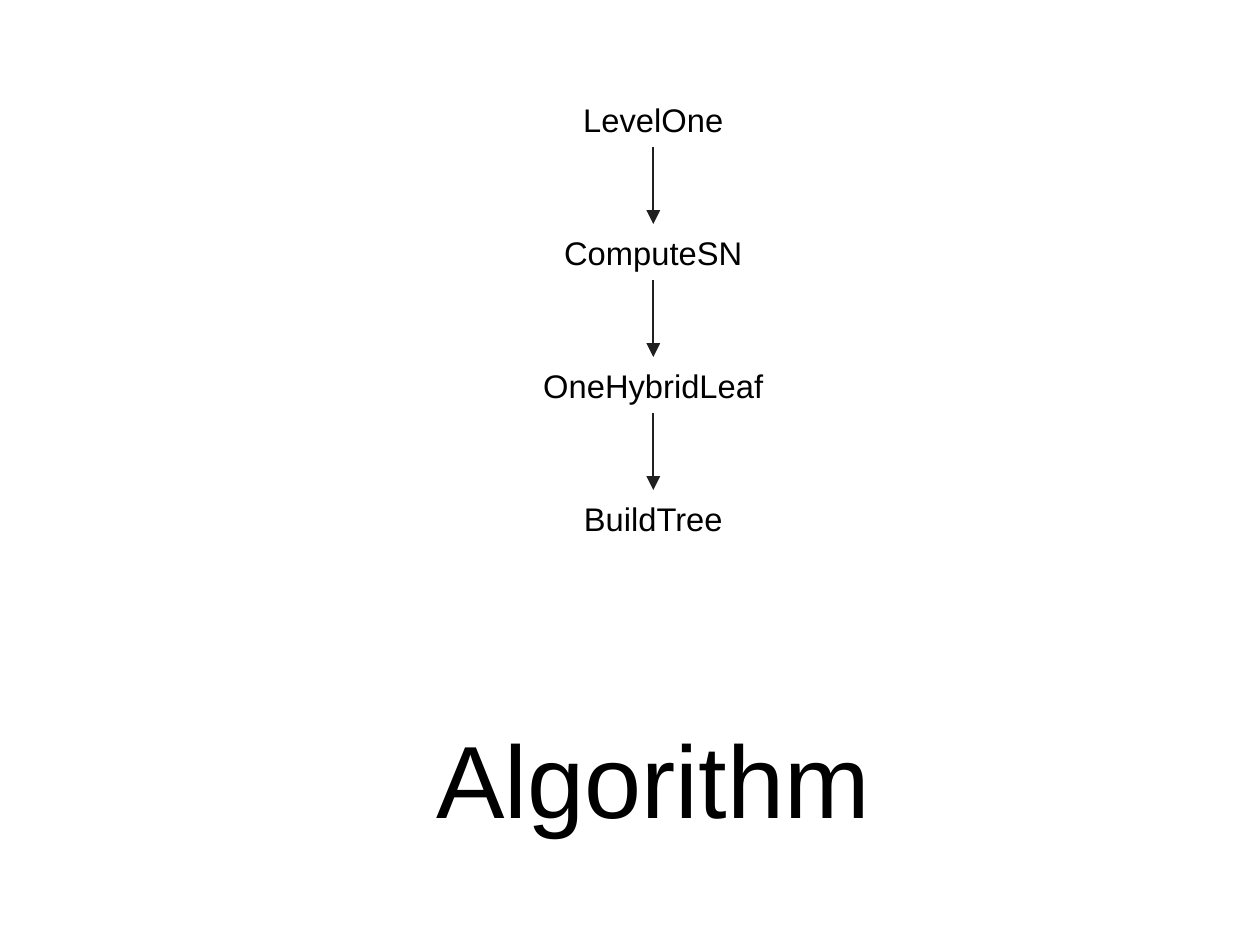
import pptx
import pptx.dml.color
import pptx.enum.shapes
import pptx.enum.text
import pptx.oxml.ns
import pptx.util
from lxml import etree

Pt = pptx.util.Pt
COLORS = {"text": "000000", "arrow": "202020", "background": "FFFFFF"}

deck = pptx.Presentation()
deck.slide_width, deck.slide_height = Pt(540), Pt(405)
slide = deck.slides.add_slide(deck.slide_layouts[6])
slide.background.fill.solid()
slide.background.fill.fore_color.rgb = pptx.dml.color.RGBColor.from_string(COLORS["background"])


def add_label(text, left, top, width, height, size):
    label = slide.shapes.add_textbox(Pt(left), Pt(top), Pt(width), Pt(height))
    frame = label.text_frame
    frame.word_wrap = True
    paragraph = frame.paragraphs[0]
    paragraph.alignment = pptx.enum.text.PP_ALIGN.CENTER
    run = paragraph.add_run()
    run.text = text
    run.font.name = "Arial"
    run.font.size = Pt(size)
    run.font.color.rgb = pptx.dml.color.RGBColor.from_string(COLORS["text"])
    return frame


# Algorithm steps, evenly stacked, with an arrow to each next step
steps = ["LevelOne", "ComputeSN", "OneHybridLeaf", "BuildTree"]
center_x, step_width, step_height = 280, 251, 24
first_top, pitch = 39, 57

for index, step in enumerate(steps):
    top = first_top + index * pitch
    step_frame = add_label(step, center_x - step_width / 2, top, step_width, step_height, 14)
    step_frame.vertical_anchor = pptx.enum.text.MSO_ANCHOR.MIDDLE
    if index == len(steps) - 1:
        continue
    arrow = slide.shapes.add_connector(
        pptx.enum.shapes.MSO_CONNECTOR.STRAIGHT,
        Pt(center_x), Pt(top + step_height), Pt(center_x), Pt(top + pitch))
    arrow.line.width = Pt(0.75)
    arrow.line.color.rgb = pptx.dml.color.RGBColor.from_string(COLORS["arrow"])
    etree.SubElement(arrow.line._get_or_add_ln(), pptx.oxml.ns.qn("a:tailEnd"), type="triangle")
    etree.SubElement(arrow._element.spPr, pptx.oxml.ns.qn("a:effectLst"))

# Title below the steps
title_width = 392
title_frame = add_label("Algorithm", center_x - title_width / 2, 297.5, title_width, 37, 44)
title_frame.margin_left = title_frame.margin_right = title_frame.margin_bottom = Pt(5)
title_frame.margin_top = Pt(9.5)

deck.save("out.pptx")
